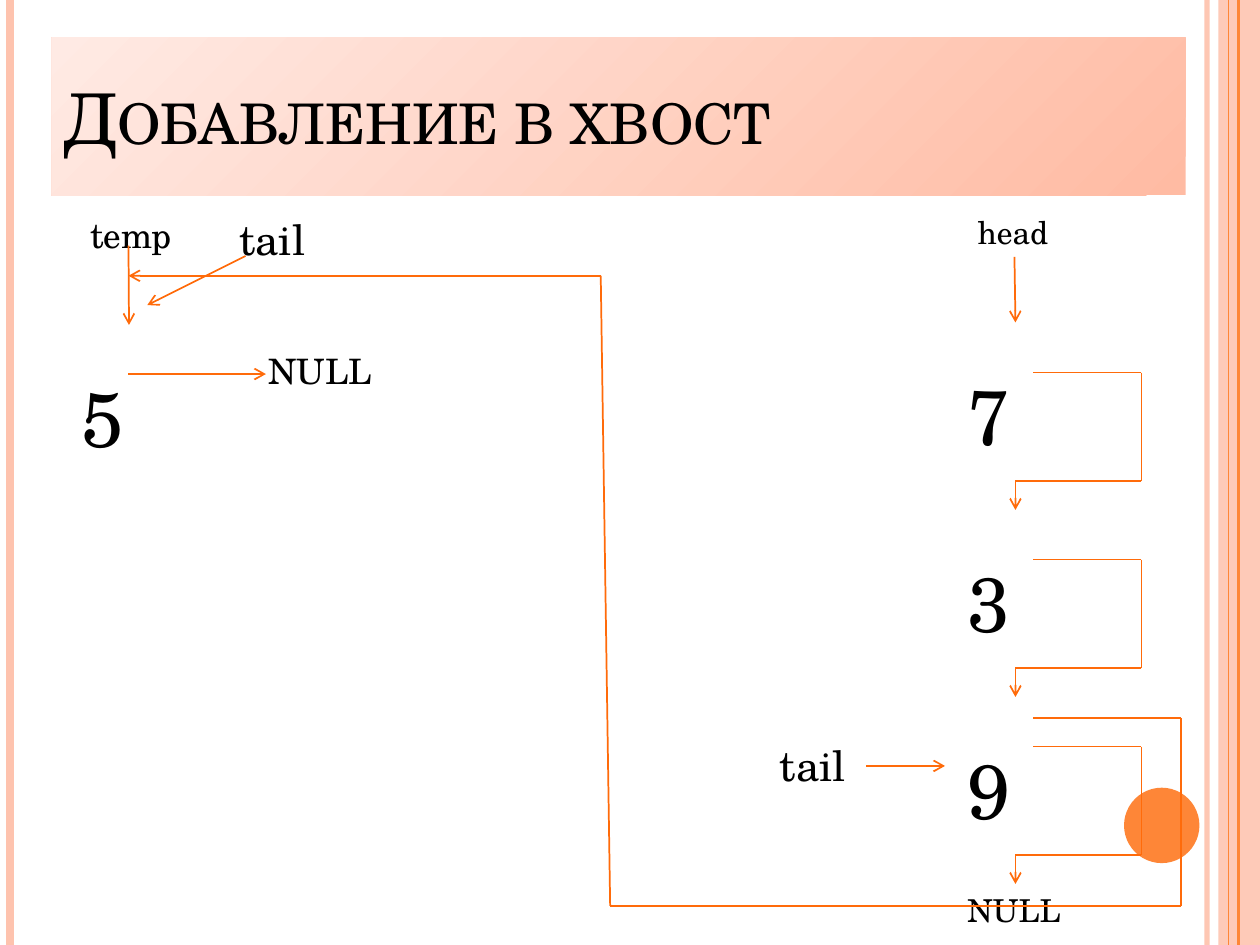
from itertools import pairwise

from lxml.etree import SubElement
from pptx import Presentation
from pptx.dml.color import RGBColor
from pptx.enum.shapes import MSO_CONNECTOR as Connector, MSO_SHAPE as Shape
from pptx.enum.text import MSO_ANCHOR as Anchor, MSO_AUTO_SIZE as AutoSize, PP_ALIGN as Align
from pptx.oxml.ns import qn
from pptx.util import Cm, Pt

FONT = "TeX Gyre Schola"
BLACK = RGBColor(0x00, 0x00, 0x00)
ARROW = RGBColor(0xFF, 0x6B, 0x0A)
ORANGE = RGBColor(0xFE, 0x86, 0x37)
PEACH = RGBColor(0xFE, 0xC3, 0xAE)
TITLE_DARK = RGBColor(0xFF, 0xBB, 0xA3)
TITLE_LIGHT = RGBColor(0xFF, 0xEA, 0xE4)

WIDTH, HEIGHT = 25.4, 19.05
TITLE = "Добавление в хвост"
STRIPES = [(24.33, PEACH, 3, 93), (0.2, PEACH, 4.5, 100),
           (24.97, ORANGE, 1.5, 100), (24.77, ORANGE, 0.75, 100)]
LABELS = [
    ("temp", 1.57, 4.17, 2.18, 1.12, 20),
    ("tail", 4.57, 4.17, 1.98, 1.27, 24),
    ("NULL", 5.16, 6.93, 3.38, 1.12, 20),
    ("head", 19.46, 4.17, 1.98, 1.02, 18),
    ("tail", 15.47, 14.78, 1.98, 1.27, 24),
    ("NULL", 19.25, 17.83, 2.77, 1.02, 18),
]
NEW_NODE = ("5", 1.4, 7.34)
LIST_NODES = ["7", "3", "9"]
LIST_LEFT, LIST_TOP, LIST_STEP = 19.25, 7.31, 3.77
NODE_WIDTH, NODE_HEIGHT, NODE_SIZE = 0.99, 2.13, 44
HOOK = [(1.58, 0.2), (3.76, 0.2), (3.76, 2.38), (1.22, 2.38), (1.22, 2.97)]
ARROWS = [
    [(2.59, 4.95), (2.6, 6.55)],
    [(4.95, 5.16), (2.97, 6.15)],
    [(2.59, 7.54), (5.36, 7.54)],
    [(20.45, 5.18), (20.47, 6.5)],
    [(17.46, 15.44), (19.05, 15.44)],
    [(20.83, 14.48), (23.81, 14.48), (23.81, 18.26),
     (12.3, 18.26), (12.11, 5.56), (2.59, 5.56)],
]


def set_alpha(fill_parent, percent):
    color = fill_parent.find(".//" + qn("a:srgbClr"))
    SubElement(color, qn("a:alpha"), val=str(percent * 1000))


def add_line(slide, start, end, color, width):
    line = slide.shapes.add_connector(
        Connector.STRAIGHT, *(Cm(value) for value in (*start, *end)))
    line.line.color.rgb = color
    line.line.width = Pt(width)
    SubElement(line._element.spPr, qn("a:effectLst"))
    return line


def add_arrow(slide, points):
    for start, end in pairwise(points):
        line = add_line(slide, start, end, ARROW, 1)
    SubElement(line.line._get_or_add_ln(), qn("a:tailEnd"), type="arrow")


def add_filled(slide, kind, left, top, width, height, color):
    shape = slide.shapes.add_shape(kind, Cm(left), Cm(top), Cm(width), Cm(height))
    shape.shadow.inherit = False
    shape.fill.solid()
    shape.fill.fore_color.rgb = color
    shape.line.fill.background()
    return shape


def format_paragraph(paragraph, size):
    paragraph.alignment = Align.LEFT
    paragraph.font.name = FONT
    paragraph.font.size = Pt(size)
    paragraph.font.color.rgb = BLACK


def add_label(slide, text, left, top, width, height, size):
    box = slide.shapes.add_textbox(Cm(left), Cm(top), Cm(width), Cm(height))
    frame = box.text_frame
    frame.word_wrap = True
    frame.text = text
    format_paragraph(frame.paragraphs[0], size)


def add_title(slide):
    title = slide.shapes.title
    title.left, title.top, title.width, title.height = Cm(1.04), Cm(0.76), Cm(22.86), Cm(3.18)
    title.fill.gradient()
    title.fill.gradient_angle = 135
    for stop, color in zip(title.fill.gradient_stops, (TITLE_DARK, TITLE_LIGHT)):
        stop.color.rgb = color
    frame = title.text_frame
    frame.text = TITLE
    frame.auto_size = AutoSize.NONE
    frame.vertical_anchor = Anchor.MIDDLE
    paragraph = frame.paragraphs[0]
    format_paragraph(paragraph, 40)
    paragraph.runs[0]._r.get_or_add_rPr().set("cap", "small")


def add_decoration(slide):
    band = add_filled(slide, Shape.RECTANGLE, 24.56, 0, 0.84, HEIGHT, PEACH)
    set_alpha(band._element.spPr, 87)
    for x, color, width, alpha in STRIPES:
        stripe = add_line(slide, (x, 0), (x, HEIGHT), color, width)
        if alpha < 100:
            set_alpha(stripe._element.spPr, alpha)
    add_filled(slide, Shape.OVAL, 22.66, 15.88, 1.52, 1.52, ORANGE)


def main():
    presentation = Presentation()
    presentation.slide_width, presentation.slide_height = Cm(WIDTH), Cm(HEIGHT)
    slide = presentation.slides.add_slide(presentation.slide_layouts[5])
    add_title(slide)
    add_decoration(slide)

    for label in LABELS:
        add_label(slide, *label)
    add_label(slide, *NEW_NODE, NODE_WIDTH, NODE_HEIGHT, NODE_SIZE)
    for index, value in enumerate(LIST_NODES):
        top = LIST_TOP + index * LIST_STEP
        add_label(slide, value, LIST_LEFT, top, NODE_WIDTH, NODE_HEIGHT, NODE_SIZE)
        add_arrow(slide, [(LIST_LEFT + x, top + y) for x, y in HOOK])
    for points in ARROWS:
        add_arrow(slide, points)

    presentation.save("out.pptx")


if __name__ == "__main__":
    main()
